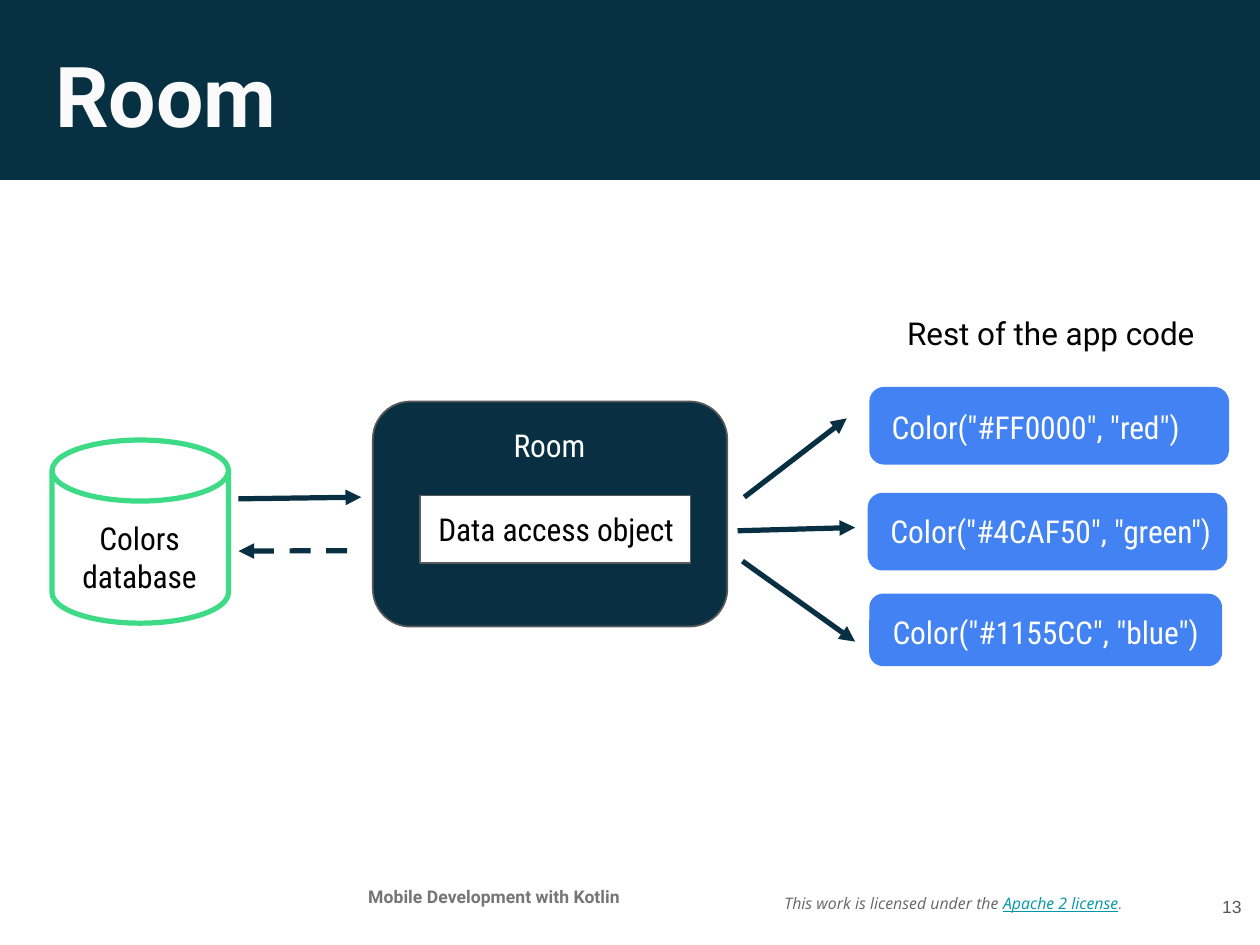
from lxml import etree
from pptx import Presentation
from pptx import util as u
from pptx.dml.color import RGBColor
from pptx.enum import dml, shapes, text
from pptx.oxml.ns import qn

NAVY = RGBColor(0x07, 0x30, 0x42)
ROOM_NAVY = RGBColor(0x08, 0x30, 0x42)
BLUE = RGBColor(0x42, 0x82, 0xF2)
GREEN = RGBColor(0x3D, 0xDB, 0x85)
TEAL = RGBColor(0x00, 0x97, 0xA7)
DARK_GRAY = RGBColor(0x59, 0x59, 0x59)
GRAY = RGBColor(0x66, 0x66, 0x66)
LIGHT_GRAY = RGBColor(0x75, 0x75, 0x75)
OFF_WHITE = RGBColor(0xFA, 0xFA, 0xFA)
WHITE = RGBColor(0xFF, 0xFF, 0xFF)
BLACK = RGBColor(0, 0, 0)

SHAPE = shapes.MSO_SHAPE
TOP, MIDDLE = text.MSO_ANCHOR.TOP, text.MSO_ANCHOR.MIDDLE
LEFT, CENTER, RIGHT = text.PP_ALIGN.LEFT, text.PP_ALIGN.CENTER, text.PP_ALIGN.RIGHT


class Deck:
    inset = 5
    label_size = 13.5
    label_font = "Roboto Condensed"

    def __init__(self, width, height):
        self.prs = Presentation()
        self.prs.slide_width, self.prs.slide_height = u.Pt(width), u.Pt(height)
        self.s = self.prs.slides.add_slide(self.prs.slide_layouts[6])

    def shape(self, kind, box, fill=None, line=None, weight=0.75, radius=None):
        sp = self.s.shapes.add_shape(kind, *map(u.Pt, box))
        sp.shadow.inherit = False
        if radius is not None:
            sp.adjustments[0] = radius
        if fill is None:
            sp.fill.background()
        else:
            sp.fill.solid()
            sp.fill.fore_color.rgb = fill
        if line is None:
            sp.line.fill.background()
        else:
            sp.line.color.rgb = line
            sp.line.width = u.Pt(weight)

    def text(self, box, runs, align=LEFT, anchor=TOP):
        """Each run is a dict: text, color and optional size, font, b, i, u."""
        tf = self.s.shapes.add_textbox(*map(u.Pt, box)).text_frame
        tf.word_wrap = True
        tf.vertical_anchor = anchor
        tf.margin_left = tf.margin_right = u.Pt(self.inset)
        tf.margin_top = tf.margin_bottom = u.Pt(self.inset)
        p = tf.paragraphs[0]
        p.alignment = align
        for run in runs:
            r = p.add_run()
            r.text = run["text"]
            r.font.size = u.Pt(run.get("size", self.label_size))
            r.font.name = run.get("font", self.label_font)
            r.font.color.rgb = run["color"]
            r.font.bold = run.get("b", False)
            r.font.italic = run.get("i", False)
            r.font.underline = run.get("u", False)

    def label(self, box, words, color, anchor=MIDDLE):
        self.text(box, [dict(text=words, color=color)], CENTER, anchor)

    def arrow(self, start, end, head="tailEnd", dashed=False):
        c = self.s.shapes.add_connector(
            shapes.MSO_CONNECTOR.STRAIGHT, *map(u.Pt, start + end))
        c.line.color.rgb = ROOM_NAVY
        c.line.width = u.Pt(2.25)
        if dashed:
            c.line.dash_style = dml.MSO_LINE.DASH
        etree.SubElement(c.line._get_or_add_ln(), qn("a:" + head), type="triangle")
        etree.SubElement(c._element.spPr, qn("a:effectLst"))


def main():
    d = Deck(540, 405)

    # Title bar
    d.shape(SHAPE.RECTANGLE, (-0.7, -2.9, 540.7, 80), NAVY)
    d.text((18.7, 13.7, 503.3, 45.4),
           [dict(text="Room", size=36, font="Roboto", color=OFF_WHITE, b=True)])

    # Footer
    note = dict(size=6.8, font="Open Sans", color=GRAY, i=True)
    d.text((331.2, 370.1, 158.4, 33.8), [
        dict(note, text="This work is licensed under the "),
        dict(note, text="Apache 2 license", color=TEAL, u=True),
        dict(note, text=".", font="Roboto"),
    ], anchor=MIDDLE)
    d.text((135.4, 375.1, 152.6, 23),
           [dict(text="Mobile Development with Kotlin", size=7.5,
                 font="Roboto", color=LIGHT_GRAY, b=True)], CENTER)
    d.text((504.7, 373, 32.4, 31),
           [dict(text="13", size=7.5, font="Arial", color=DARK_GRAY)], RIGHT, MIDDLE)

    # Database
    d.shape(SHAPE.FLOWCHART_MAGNETIC_DISK, (22.3, 188.6, 75.6, 78.5),
            line=GREEN, weight=2.25)
    d.label((17.3, 217.4, 85, 43.9), "Colors database", BLACK, TOP)

    # Room with its data access object
    d.shape(SHAPE.ROUNDED_RECTANGLE, (159.8, 172.1, 151.9, 96.5),
            ROOM_NAVY, DARK_GRAY, radius=0.167)
    d.label((193, 181.4, 85, 18.7), "Room", WHITE)
    d.shape(SHAPE.RECTANGLE, (180, 212.4, 115.9, 28.8), WHITE, DARK_GRAY)
    d.label((175.7, 213.8, 125.3, 25.9), "Data access object", BLACK)

    # App code: box, then left and top of its label
    d.text((383.8, 129.6, 150, 31),
           [dict(text="Rest of the app code", font="Roboto", color=BLACK)])
    for box, x, y, words in [
        ((373.7, 167, 151.9, 31), 364.3, 169.9, 'Color("#FF0000", "red")'),
        ((373, 212.4, 151.9, 31), 370.8, 214.6, 'Color("#4CAF50", "green")'),
        ((373.7, 255.6, 149, 28.8), 368.6, 257.8, 'Color("#1155CC", "blue")'),
    ]:
        d.shape(SHAPE.ROUNDED_RECTANGLE, box, BLUE, BLUE, 2.25, 0.167)
        d.label((x, y, 159.1, 25.9), words, WHITE)

    # Arrows from Room to the app code
    for start, end in [((319, 213.1), (362.9, 179.3)),
                       ((316.1, 227.5), (366.5, 226.1)),
                       ((318.2, 240.5), (366.5, 275))]:
        d.arrow(start, end)

    # Arrows between database and Room
    d.arrow((102.2, 213.8), (154.8, 213.1))
    d.arrow((102.2, 236.2), (154.8, 236), head="headEnd", dashed=True)

    d.prs.save("out.pptx")


if __name__ == "__main__":
    main()
